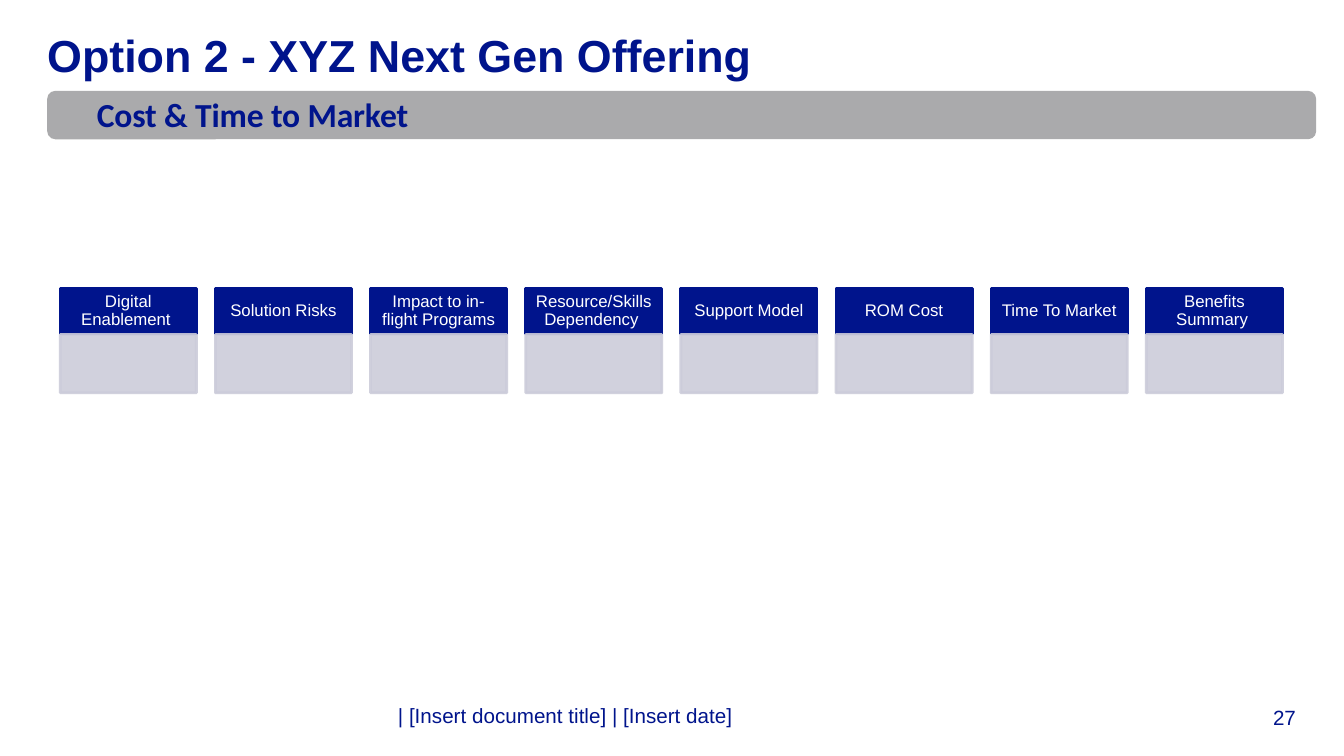
from pptx import Presentation
from pptx.dml.color import RGBColor
from pptx.enum.shapes import MSO_SHAPE as SHAPE
from pptx.enum.text import MSO_ANCHOR as ANCHOR, PP_ALIGN as ALIGN
from pptx.oxml.ns import qn
from pptx.util import Cm, Pt
from lxml import etree

NAVY = RGBColor(0x00, 0x14, 0x8C)
GREY = RGBColor(0xAA, 0xAA, 0xAC)
LAVENDER = RGBColor(0xCC, 0xCC, 0xDA)
WHITE = RGBColor(0xFF, 0xFF, 0xFF)

CRITERIA = [
    "Digital Enablement ",
    "Solution Risks",
    "Impact to in-flight Programs",
    "Resource/Skills Dependency ",
    "Support Model",
    "ROM Cost",
    "Time To Market",
    "Benefits Summary ",
]
TITLE = ("Option 2 - XYZ Next Gen Offering", (1.19, 0.69, 31.47, 1.6),
         32, "Arial", True, ALIGN.LEFT, ANCHOR.TOP)
SUBTITLE = ("Cost & Time to Market", (2.44, 2.36, 8.15, 1.02),
            24, "Calibri", True, ALIGN.LEFT, ANCHOR.TOP)
FOOTER = ("| [Insert document title] | [Insert date]", (10.03, 17.7, 21.18, 0.64),
          14.7, "Arial", False, ALIGN.LEFT, ANCHOR.BOTTOM)
PAGE = ("27", (30.68, 17.75, 1.98, 0.64),
        14.7, "Arial", False, ALIGN.RIGHT, ANCHOR.BOTTOM)

BANNER = (1.19, 2.29, 31.98, 1.22)
LEFT, PITCH, WIDTH = 1.52, 3.91, 3.43
HEAD_TOP, HEAD_HEIGHT = 7.27, 1.15
BODY_TOP, BODY_HEIGHT = 8.43, 1.47


def style_run(p, size, font, color, bold=False):
    f = p.runs[0].font
    f.size, f.name, f.bold = Pt(size), font, bold
    f.color.rgb = color


def add_label(s, text, box, size, font, bold, align, anchor):
    tf = s.shapes.add_textbox(*map(Cm, box)).text_frame
    tf.word_wrap = True
    tf.margin_left = tf.margin_right = tf.margin_top = tf.margin_bottom = 0
    tf.vertical_anchor = anchor
    tf.text = text
    p = tf.paragraphs[0]
    p.alignment = align
    style_run(p, size, font, NAVY, bold)
    return p


def add_block(s, kind, box, color, outlined=True, opacity=100):
    sp = s.shapes.add_shape(kind, *map(Cm, box))
    sp.shadow.inherit = False
    sp.fill.solid()
    sp.fill.fore_color.rgb = color
    if outlined:
        sp.line.color.rgb = color
        sp.line.width = Pt(2)
    else:
        sp.line.fill.background()
    if opacity < 100:
        for clr in sp._element.spPr.iter(qn("a:srgbClr")):
            etree.SubElement(clr, qn("a:alpha"), val=str(opacity * 1000))
    return sp


def add_criterion(s, i, name):
    x = LEFT + i * PITCH
    head = add_block(s, SHAPE.RECTANGLE, (x, HEAD_TOP, WIDTH, HEAD_HEIGHT), NAVY)
    tf = head.text_frame
    tf.word_wrap = True
    tf.vertical_anchor = ANCHOR.MIDDLE
    tf.margin_left = tf.margin_right = Cm(0.24)
    tf.margin_top = tf.margin_bottom = Cm(0.13)
    tf.text = name
    p = tf.paragraphs[0]
    p.alignment = ALIGN.CENTER
    p.line_spacing = 0.9
    style_run(p, 12, "Arial", WHITE)
    add_block(s, SHAPE.RECTANGLE, (x, BODY_TOP, WIDTH, BODY_HEIGHT), LAVENDER, opacity=90)


def main():
    prs = Presentation()
    prs.slide_width, prs.slide_height = Cm(33.87), Cm(19.05)
    s = prs.slides.add_slide(prs.slide_layouts[6])
    add_label(s, *PAGE)
    add_label(s, *FOOTER).space_after = Pt(8)
    add_label(s, *TITLE)
    add_block(s, SHAPE.ROUNDED_RECTANGLE, BANNER, GREY, outlined=False)
    subtitle = add_label(s, *SUBTITLE)
    subtitle.runs[0].font._element.set("spc", "-10")
    for i, name in enumerate(CRITERIA):
        add_criterion(s, i, name)
    prs.save("out.pptx")


if __name__ == "__main__":
    main()
